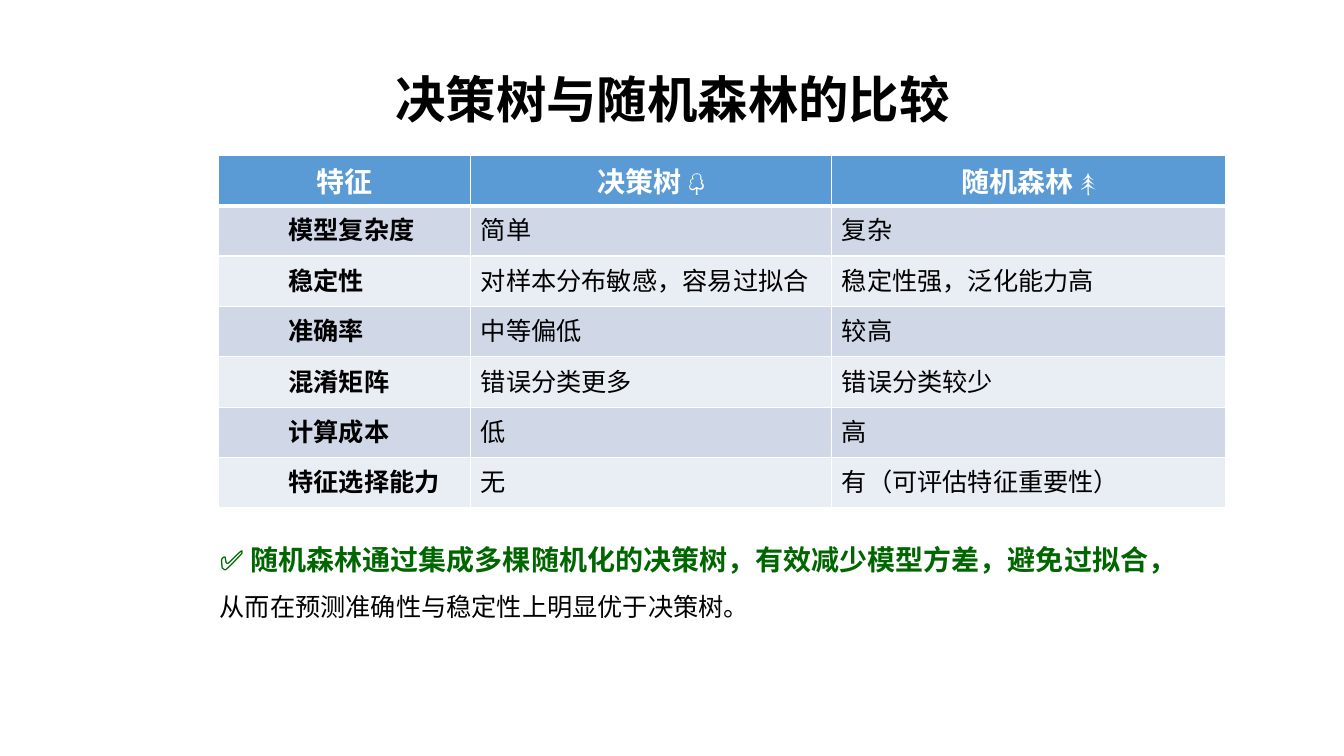
from pptx import Presentation
from pptx.dml.color import RGBColor
from pptx.enum.text import MSO_ANCHOR, MSO_AUTO_SIZE, PP_ALIGN
from pptx.oxml.ns import qn
from pptx.util import Inches, Pt
from lxml.etree import SubElement

COLORS = {"text": "000000", "white": "FFFFFF", "header": "5B9BD5",
          "odd": "D0D8E8", "even": "E9EDF4", "accent": "006600"}
CJK, LATIN = "Noto Sans CJK SC", "Calibri"

TITLE = "决策树与随机森林的比较"
ROWS = [
    ("特征", "决策树 🌳", "随机森林 🌲"),
    ("模型复杂度", "简单", "复杂"),
    ("稳定性", "对样本分布敏感，容易过拟合", "稳定性强，泛化能力高"),
    ("准确率", "中等偏低", "较高"),
    ("混淆矩阵", "错误分类更多", "错误分类较少"),
    ("计算成本", "低", "高"),
    ("特征选择能力", "无", "有（可评估特征重要性）"),
]
COLUMN_WIDTHS = (2.5, 3.58, 3.91)
ROW_HEIGHT = 0.5
LABEL_INDENT = 0.59

FORMATS = {
    "title": {"size": Pt(36), "name": CJK, "bold": True, "color": "text"},
    "header": {"size": Pt(20), "name": LATIN, "bold": True, "color": "white"},
    "label": {"size": Pt(18), "name": CJK, "bold": True, "color": "text"},
    "value": {"size": Pt(18), "name": CJK, "bold": False, "color": "text"},
    "finding": {"size": Pt(20), "name": LATIN, "bold": True, "color": "accent"},
    "result": {"size": Pt(18), "name": LATIN, "bold": False, "color": "text"},
}
SUMMARY = [
    ("✅ 随机森林通过集成多棵随机化的决策树，有效减少模型方差，避免过拟合，", "finding"),
    ("从而在预测准确性与稳定性上明显优于决策树。", "result"),
]


def write(p, text, style):
    r = p.add_run()
    r.text = text
    for key, value in FORMATS[style].items():
        if key == "color":
            r.font.color.rgb = RGBColor.from_string(COLORS[value])
        else:
            setattr(r.font, key, value)
    SubElement(r.font._element, qn("a:ea")).set("typeface", CJK)


def add_borders(cell, bottom):
    """Draw white borders, 1 pt wide except for the given bottom width."""
    tc_pr = cell._tc.get_or_add_tcPr()
    widths = {"a:lnL": 1, "a:lnR": 1, "a:lnT": 1, "a:lnB": bottom}
    for i, (tag, width) in enumerate(widths.items()):
        ln = SubElement(tc_pr, qn(tag), w=str(Pt(width)))
        fill = SubElement(ln, qn("a:solidFill"))
        SubElement(fill, qn("a:srgbClr"), val=COLORS["white"])
        tc_pr.insert(i, ln)


def add_text_box(slide, left, top, width, height):
    tf = slide.shapes.add_textbox(*map(Inches, (left, top, width, height))).text_frame
    tf.auto_size = MSO_AUTO_SIZE.SHAPE_TO_FIT_TEXT
    return tf


def add_title(slide):
    tf = add_text_box(slide, 3.92, 0.67, 7.61, 0.61)
    tf.word_wrap = True
    tf.vertical_anchor = MSO_ANCHOR.MIDDLE
    for side in ("left", "top", "right", "bottom"):
        setattr(tf, f"margin_{side}", 0)
    write(tf.paragraphs[0], TITLE, "title")


def add_comparison(slide):
    table = slide.shapes.add_table(
        len(ROWS), len(COLUMN_WIDTHS), Inches(2.17), Inches(1.54),
        Inches(sum(COLUMN_WIDTHS)), Inches(ROW_HEIGHT * len(ROWS))).table
    for column, width in zip(table.columns, COLUMN_WIDTHS):
        column.width = Inches(width)
    for i, row in enumerate(ROWS):
        table.rows[i].height = Inches(ROW_HEIGHT)
        band = "header" if i == 0 else "odd" if i % 2 else "even"
        for j, text in enumerate(row):
            cell = table.cell(i, j)
            cell.fill.solid()
            cell.fill.fore_color.rgb = RGBColor.from_string(COLORS[band])
            add_borders(cell, 3 if i == 0 else 1)
            p = cell.text_frame.paragraphs[0]
            p.alignment = PP_ALIGN.LEFT if i else PP_ALIGN.CENTER
            if i and j == 0:
                p_pr = p._p.get_or_add_pPr()
                p_pr.set("marL", str(Inches(LABEL_INDENT)))
                p_pr.set("indent", "0")
            write(p, text, "header" if i == 0 else "value" if j else "label")


def add_summary(slide):
    tf = add_text_box(slide, 2.08, 5.17, 9.9, 1.01)
    tf.word_wrap = False
    for i, (text, style) in enumerate(SUMMARY):
        p = tf.add_paragraph() if i else tf.paragraphs[0]
        p.line_spacing = 1.5
        write(p, text, style)


def main():
    prs = Presentation()
    prs.slide_width, prs.slide_height = Inches(13.33), Inches(7.5)
    slide = prs.slides.add_slide(prs.slide_layouts[6])
    add_title(slide)
    add_comparison(slide)
    add_summary(slide)
    prs.save("out.pptx")


if __name__ == "__main__":
    main()
